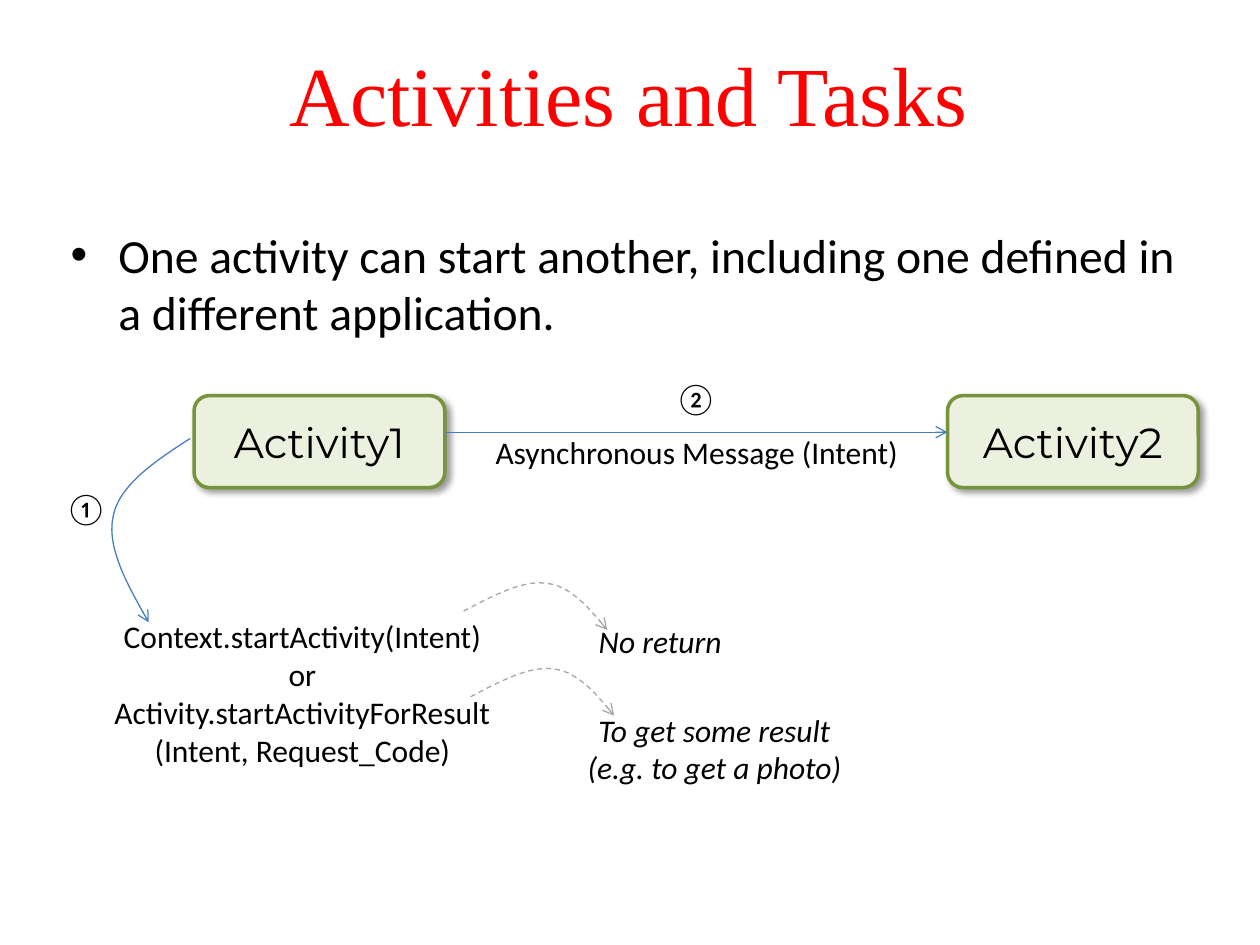
"""Builds a slide that shows how one activity starts another."""
from lxml.etree import SubElement
from pptx import Presentation
from pptx.dml.color import RGBColor
from pptx.enum.dml import MSO_LINE
from pptx.enum.shapes import MSO_CONNECTOR, MSO_SHAPE
from pptx.enum.text import MSO_ANCHOR, MSO_AUTO_SIZE, PP_ALIGN
from pptx.oxml.ns import qn
from pptx.util import Inches, Pt

COLOURS = {
    "title": "FF0000", "text": "000000", "arrow": "4B7EBC",
    "dashed": "A6A6A6", "fill": "EBF1DE", "border": "77933C",
}

deck = Presentation()
deck.slide_width, deck.slide_height = Inches(10), Inches(7.5)
column, row = deck.slide_width / 100, deck.slide_height / 75
page = deck.slides.add_slide(deck.slide_layouts[1])


def grid(*cells):
    """Turn alternating columns and rows into lengths."""
    return [round(cell * (row if i % 2 else column)) for i, cell in enumerate(cells)]


def write(box, text, font, size, colour="text", align=PP_ALIGN.CENTER, italic=False):
    """Fill a shape with text and format each run."""
    frame = box.text_frame
    frame.word_wrap = True
    frame.auto_size = MSO_AUTO_SIZE.NONE
    frame.text = text
    for para in frame.paragraphs:
        para.alignment = align
        for span in para.runs:
            span.font.name, span.font.size = font, Pt(size)
            span.font.italic = italic
            span.font.color.rgb = RGBColor.from_string(COLOURS[colour])


title, body = page.shapes.title, page.placeholders[1]
title.left, title.top, title.width, title.height = grid(2.6, 1.1, 94.6, 12.5)
write(title, "Activities and Tasks", "Times New Roman", 48, "title")
title.text_frame.vertical_anchor = MSO_ANCHOR.MIDDLE

body.left, body.top, body.width, body.height = grid(4.6, 17.4, 91, 8.5)
write(body, "One activity can start another, including one defined in a different application.",
      "Calibri", 27.2, align=PP_ALIGN.LEFT)
bullet = body.text_frame.paragraphs[0]
bullet.space_before = Pt(0)
indent = bullet._p.get_or_add_pPr()
indent.set("marL", str(Inches(0.38)))
indent.set("indent", str(-Inches(0.38)))
SubElement(indent, qn("a:buFont"), typeface="Arial")
SubElement(indent, qn("a:buChar"), char="•")

for name, left in (("Activity1", 15.4), ("Activity2", 75.2)):
    box = page.shapes.add_shape(MSO_SHAPE.ROUNDED_RECTANGLE, *grid(left, 31.4, 19.9, 7.3))
    box.fill.solid()
    box.fill.fore_color.rgb = RGBColor.from_string(COLOURS["fill"])
    box.line.color.rgb = RGBColor.from_string(COLOURS["border"])
    box.line.width = Pt(2)
    box.shadow.inherit = False
    effects = box.element.spPr.find(qn("a:effectLst"))
    shadow = SubElement(effects, qn("a:outerShdw"), blurRad=str(Pt(4)), dist=str(Pt(3)),
                        dir="2700000", algn="tl", rotWithShape="0")
    black = SubElement(shadow, qn("a:srgbClr"), val=COLOURS["text"])
    SubElement(black, qn("a:alpha"), val="40000")
    write(box, name, "Montserrat", 24)
    box.text_frame.vertical_anchor = MSO_ANCHOR.MIDDLE

labels = [
    ("Context.startActivity(Intent)\nor\nActivity.startActivityForResult\n(Intent, Request_Code)",
     (6.9, 48.5, 34.2, 19.2), False),
    ("①", (2.6, 38.3, 8.5, 4), False),
    ("Asynchronous Message (Intent)", (38.2, 33.9, 34.2, 7.1), False),
    ("②", (51, 29.6, 8.5, 4), False),
    ("To get some result\n(e.g. to get a photo)", (39.6, 55.9, 34.2, 7.1), True),
    ("No return", (35.3, 48.9, 34.2, 4), True),
]
for text, cells, italic in labels:
    write(page.shapes.add_textbox(*grid(*cells)), text, "Calibri", 18, italic=italic)

call_curve = [(15.1, 34.8), (12.3, 36.6), (9.5, 38.5), (9, 40.9), (8.4, 43.4), (10.1, 46.4), (11.8, 49.4)]
no_return = [(36.8, 48.5), (39.1, 47.3), (41.5, 46), (43.4, 46.3), (45.3, 46.5), (46.8, 48.3), (48.2, 50)]
with_result = [(x + 0.55, y + 6.8) for x, y in no_return]

message = page.shapes.add_connector(MSO_CONNECTOR.STRAIGHT, *grid(35.4, 34.3, 75.2, 34.3))
arrows = [(message, "arrow")]
steps = 20
for curve, colour in ((call_curve, "arrow"), (no_return, "dashed"), (with_result, "dashed")):
    points = []
    for first in (0, 3):
        for step in range(1, steps + 1):
            t = step / steps
            weights = ((1 - t) ** 3, 3 * t * (1 - t) ** 2, 3 * t * t * (1 - t), t ** 3)
            controls = curve[first:first + 4]
            points.append(grid(*(sum(w * point[axis] for w, point in zip(weights, controls))
                                 for axis in (0, 1))))
    builder = page.shapes.build_freeform(*grid(*curve[0]))
    builder.add_line_segments(points, close=False)
    outline = builder.convert_to_shape()
    outline.fill.background()
    arrows.append((outline, colour))

for arrow, colour in arrows:
    arrow.line.color.rgb = RGBColor.from_string(COLOURS[colour])
    arrow.line.width = Pt(0.75)
    if colour == "dashed":
        arrow.line.dash_style = MSO_LINE.DASH
    properties = arrow.element.spPr
    SubElement(properties.find(qn("a:ln")), qn("a:tailEnd"), type="arrow")
    SubElement(properties, qn("a:effectLst"))

deck.save("out.pptx")
